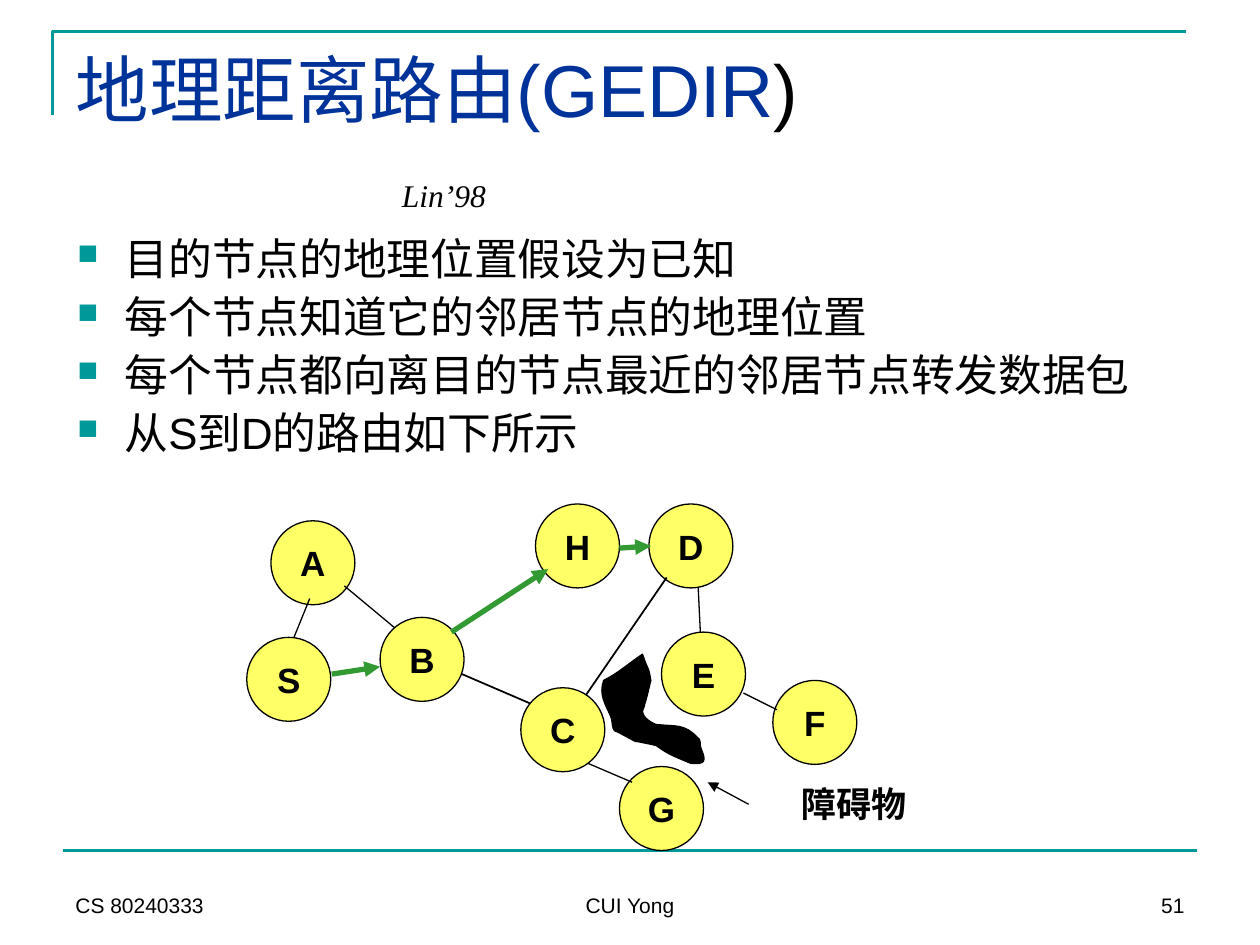
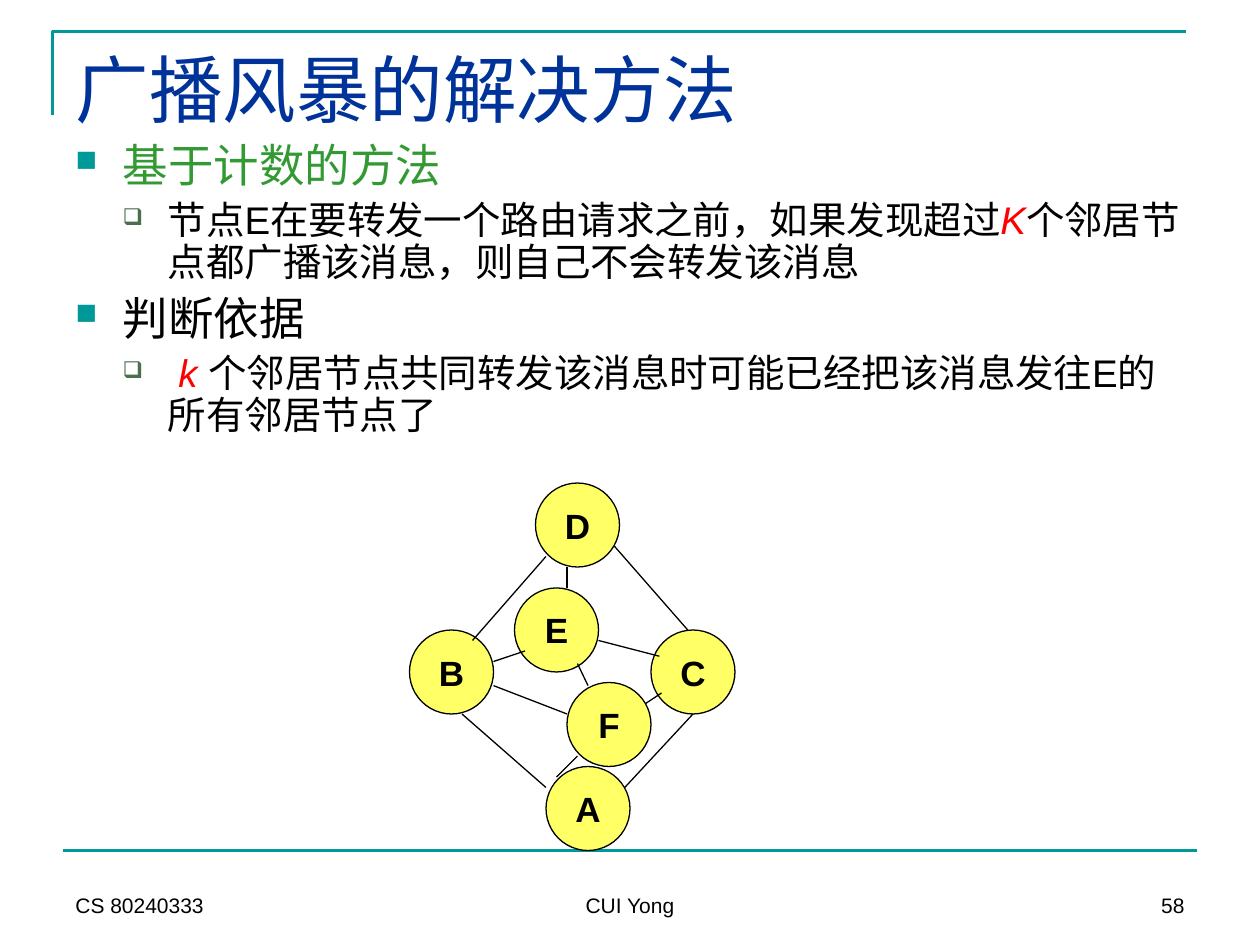
from dataclasses import dataclass

import lxml.etree
import pptx
import pptx.dml.color
import pptx.enum.shapes
import pptx.enum.text
import pptx.oxml.ns
import pptx.presentation
import pptx.shapes.base
import pptx.shapes.connector
import pptx.slide
import pptx.text.text
import pptx.util

PX = 914400 / 120
NODE_SIZE = 80
CURVE_STEPS = 8

RGBColor = pptx.dml.color.RGBColor
Align = pptx.enum.text.PP_ALIGN
Anchor = pptx.enum.text.MSO_ANCHOR
qn = pptx.oxml.ns.qn

BLACK = RGBColor(0x00, 0x00, 0x00)
TEAL = RGBColor(0x00, 0x99, 0x99)
NAVY = RGBColor(0x00, 0x33, 0x99)
GREEN = RGBColor(0x33, 0x99, 0x33)
RED = RGBColor(0xFF, 0x00, 0x00)
YELLOW = RGBColor(0xFF, 0xFF, 0x66)
MOSS = RGBColor(0x4C, 0x6D, 0x4E)

Point = tuple[int, int]
Box = tuple[int, int, int, int]


@dataclass(frozen=True)
class Piece:
    text: str
    color: RGBColor = BLACK
    italic: bool = False


@dataclass(frozen=True)
class Level:
    size: int
    space_before: float
    margin: int
    hanging: int
    bullet: str
    bullet_color: RGBColor
    bullet_percent: int


@dataclass(frozen=True)
class Item:
    level: Level
    pieces: tuple[Piece, ...]


@dataclass(frozen=True)
class Node:
    name: str
    left: int
    top: int


@dataclass(frozen=True)
class Edge:
    start: Point
    end: Point
    color: RGBColor = BLACK
    width: float = 0.75
    arrow: bool = False


def route(start: Point, end: Point) -> Edge:
    return Edge(start, end, GREEN, 3, True)


STEP = Level(25, 6.2, 45, 45, "■", TEAL, 65)
TOPIC = Level(26, 6.5, 45, 45, "■", TEAL, 65)
DETAIL = Level(22, 5.5, 88, 43, "❑", MOSS, 60)

GEDIR_ITEMS = [
    Item(STEP, (Piece(text),))
    for text in (
        "目的节点的地理位置假设为已知",
        "每个节点知道它的邻居节点的地理位置",
        "每个节点都向离目的节点最近的邻居节点转发数据包",
        "从S到D的路由如下所示",
    )
]
GEDIR_NODES = [
    Node("S", 235, 607), Node("A", 258, 496), Node("B", 362, 588),
    Node("D", 618, 480), Node("C", 496, 655), Node("F", 736, 648),
    Node("E", 630, 602), Node("H", 510, 480), Node("G", 590, 730),
]
GEDIR_EDGES = [
    Edge((280, 607), (295, 570)),
    route((316, 642), (362, 635)),
    Edge((328, 558), (376, 598)),
    Edge((440, 642), (505, 670), width=1),
    Edge((558, 662), (635, 550), width=1),
    Edge((665, 560), (667, 602)),
    Edge((708, 660), (740, 676)),
    route((430, 602), (522, 542)),
    route((590, 522), (620, 520)),
    Edge((713, 766), (674, 745), arrow=True),
    Edge((560, 727), (602, 745)),
]
OBSTACLE_START = (612, 623)
OBSTACLE_CURVES = [
    ((600, 631), (589, 641), (575, 648)),
    ((570, 662), (577, 671), (582, 683)),
    ((584, 688), (582, 696), (588, 697)),
    ((594, 700), (599, 703), (605, 706)),
    ((612, 707), (625, 710), (625, 710)),
    ((637, 719), (644, 721), (658, 727)),
    ((661, 727), (668, 728), (670, 725)),
    ((672, 721), (668, 715), (667, 710)),
    ((667, 708), (667, 704), (665, 703)),
    ((652, 689), (644, 692), (625, 690)),
    ((620, 688), (613, 684), (612, 678)),
    ((612, 676), (614, 673), (614, 671)),
    ((617, 662), (618, 655), (620, 648)),
    ((617, 632), (618, 641), (612, 623)),
]

STORM_ITEMS = [
    Item(TOPIC, (Piece("基于计数的方法", GREEN),)),
    Item(DETAIL, (
        Piece("节点E在要转发一个路由请求之前，如果发现超过"),
        Piece("K", RED, True),
        Piece("个邻居节点都广播该消息，则自己不会转发该消息"),
    )),
    Item(TOPIC, (Piece("判断依据"),)),
    Item(DETAIL, (
        Piece(" k ", RED, True),
        Piece("个邻居节点共同转发该消息时可能已经把该消息发往E的所有邻居节点了"),
    )),
]
STORM_NODES = [
    Node("B", 390, 600), Node("D", 510, 460), Node("C", 620, 600),
    Node("A", 520, 730), Node("F", 540, 650), Node("E", 490, 560),
]
STORM_EDGES = [
    Edge((520, 530), (450, 610)),
    Edge((440, 680), (520, 750)),
    Edge((660, 680), (595, 750)),
    Edge((585, 520), (655, 600)),
    Edge((500, 620), (470, 630)),
    Edge((470, 653), (540, 680)),
    Edge((550, 632), (560, 653)),
    Edge((550, 720), (530, 740)),
    Edge((615, 670), (630, 660)),
    Edge((570, 610), (628, 625)),
    Edge((540, 540), (540, 560)),
]


def emu(*lengths: float) -> list[int]:
    return [round(length * PX) for length in lengths]


def set_font(font: pptx.text.text.Font, size: int, color: RGBColor = BLACK,
             name: str = "Arial", bold: bool = False, italic: bool = False) -> None:
    font.name = name
    font.size = pptx.util.Pt(size)
    font.bold = bold
    font.italic = italic
    font.color.rgb = color


def write_line(shape: pptx.shapes.base.BaseShape, text: str, align: Align,
               anchor: Anchor, wrap: bool) -> pptx.text.text.Font:
    frame = shape.text_frame
    frame.text = text
    frame.word_wrap = wrap
    frame.auto_size = pptx.enum.text.MSO_AUTO_SIZE.NONE
    frame.vertical_anchor = anchor
    frame.paragraphs[0].alignment = align
    return frame.paragraphs[0].font


def add_label(slide: pptx.slide.Slide, text: str, box: Box, align: Align,
              anchor: Anchor = Anchor.MIDDLE, wrap: bool = False) -> pptx.text.text.Font:
    return write_line(slide.shapes.add_textbox(*emu(*box)), text, align, anchor, wrap)


def add_edge(slide: pptx.slide.Slide, edge: Edge) -> None:
    connector = slide.shapes.add_connector(
        pptx.enum.shapes.MSO_CONNECTOR.STRAIGHT, *emu(*edge.start, *edge.end))
    connector.line.color.rgb = edge.color
    connector.line.width = pptx.util.Pt(edge.width)
    if edge.arrow:
        lxml.etree.SubElement(connector.line._get_or_add_ln(), qn("a:tailEnd"), type="triangle")
    lxml.etree.SubElement(connector._element.spPr, qn("a:effectLst"))


def add_outline(slide: pptx.slide.Slide, points: list[tuple[float, float]],
                closed: bool, color: RGBColor, width: float) -> None:
    corners = [tuple(emu(*point)) for point in points]
    builder = slide.shapes.build_freeform(*corners[0])
    builder.add_line_segments(corners[1:], close=closed)
    shape = builder.convert_to_shape()
    shape.shadow.inherit = False
    shape.line.color.rgb = color
    shape.line.width = pptx.util.Pt(width)
    if closed:
        shape.fill.solid()
        shape.fill.fore_color.rgb = color
    else:
        shape.fill.background()


def add_node(slide: pptx.slide.Slide, node: Node) -> None:
    shape = slide.shapes.add_shape(
        pptx.enum.shapes.MSO_SHAPE.OVAL, *emu(node.left, node.top, NODE_SIZE, NODE_SIZE))
    shape.shadow.inherit = False
    shape.fill.solid()
    shape.fill.fore_color.rgb = YELLOW
    shape.line.color.rgb = BLACK
    shape.line.width = pptx.util.Pt(0.75)
    set_font(write_line(shape, node.name, Align.CENTER, Anchor.MIDDLE, False), 20, bold=True)


def add_graph(slide: pptx.slide.Slide, nodes: list[Node], edges: list[Edge]) -> None:
    for node in nodes:
        add_node(slide, node)
    for edge in edges:
        add_edge(slide, edge)


def add_bullet(paragraph: pptx.text.text._Paragraph, level: Level) -> None:
    properties = paragraph._p.get_or_add_pPr()
    margin, indent = emu(level.margin, -level.hanging)
    properties.set("marL", str(margin))
    properties.set("indent", str(indent))
    color = lxml.etree.SubElement(properties, qn("a:buClr"))
    lxml.etree.SubElement(color, qn("a:srgbClr"), val=str(level.bullet_color))
    lxml.etree.SubElement(properties, qn("a:buSzPct"), val=str(level.bullet_percent * 1000))
    lxml.etree.SubElement(properties, qn("a:buChar"), char=level.bullet)


def add_items(slide: pptx.slide.Slide, items: list[Item], box: Box) -> None:
    frame = slide.shapes.add_textbox(*emu(*box)).text_frame
    frame.word_wrap = True
    for index, item in enumerate(items):
        paragraph = frame.add_paragraph() if index else frame.paragraphs[0]
        add_bullet(paragraph, item.level)
        paragraph.line_spacing = 0.9
        paragraph.space_before = pptx.util.Pt(item.level.space_before if index else 0)
        for piece in item.pieces:
            run = paragraph.add_run()
            run.text = piece.text
            font = paragraph.font if len(item.pieces) == 1 else run.font
            set_font(font, item.level.size, piece.color, italic=piece.italic)


def add_slide(presentation: pptx.presentation.Presentation, number: int) -> pptx.slide.Slide:
    slide = presentation.slides.add_slide(presentation.slide_layouts[5])
    add_outline(slide, [(50, 110), (50, 30), (1130, 30)], False, TEAL, 1.5)
    add_edge(slide, Edge((60, 810), (1140, 810), TEAL, 1.5))
    for text, left, width, align in (
        ("CS 80240333", 60, 280, Align.LEFT),
        ("CUI Yong", 410, 380, Align.CENTER),
        (str(number), 860, 280, Align.RIGHT),
    ):
        set_font(add_label(slide, text, (left, 820, width, 60), align, Anchor.BOTTOM, True), 12)
    title = slide.shapes.title
    title.left, title.top, title.width, title.height = emu(60, 36, 1080, 150)
    return slide


def write_title(slide: pptx.slide.Slide, text: str) -> pptx.text.text._Paragraph:
    title = slide.shapes.title
    set_font(write_line(title, text, Align.LEFT, Anchor.TOP, True), 42, NAVY)
    return title.text_frame.paragraphs[0]


def curve_points(start: Point, curves: list[tuple[Point, Point, Point]]) -> list[tuple[float, float]]:
    points = [start]
    for first, second, end in curves:
        corners = (points[-1], first, second, end)
        for step in range(1, CURVE_STEPS + 1):
            t = step / CURVE_STEPS
            weights = ((1 - t) ** 3, 3 * t * (1 - t) ** 2, 3 * t ** 2 * (1 - t), t ** 3)
            points.append(tuple(
                sum(weight * corner[axis] for weight, corner in zip(weights, corners))
                for axis in (0, 1)))
    return points


def build_gedir(presentation: pptx.presentation.Presentation) -> None:
    slide = add_slide(presentation, 51)
    bracket = write_title(slide, "地理距离路由(GEDIR").add_run()
    bracket.text = ")"
    bracket.font.color.rgb = BLACK
    citation = add_label(slide, "Lin’98", (371, 162, 160, 48), Align.LEFT)
    set_font(citation, 18, name="Times New Roman", italic=True)
    add_items(slide, GEDIR_ITEMS, (62, 220, 1080, 260))
    add_graph(slide, GEDIR_NODES, GEDIR_EDGES)
    set_font(add_label(slide, "障碍物", (751, 739, 124, 53), Align.CENTER), 20, bold=True)
    add_outline(slide, curve_points(OBSTACLE_START, OBSTACLE_CURVES), True, BLACK, 0.75)


def build_storm(presentation: pptx.presentation.Presentation) -> None:
    slide = add_slide(presentation, 58)
    write_title(slide, "广播风暴的解决方法")
    add_items(slide, STORM_ITEMS, (60, 130, 1080, 320))
    add_graph(slide, STORM_NODES, STORM_EDGES)


def main() -> None:
    presentation = pptx.Presentation()
    presentation.slide_width, presentation.slide_height = emu(1200, 900)
    build_gedir(presentation)
    build_storm(presentation)
    presentation.save("out.pptx")


if __name__ == "__main__":
    main()
